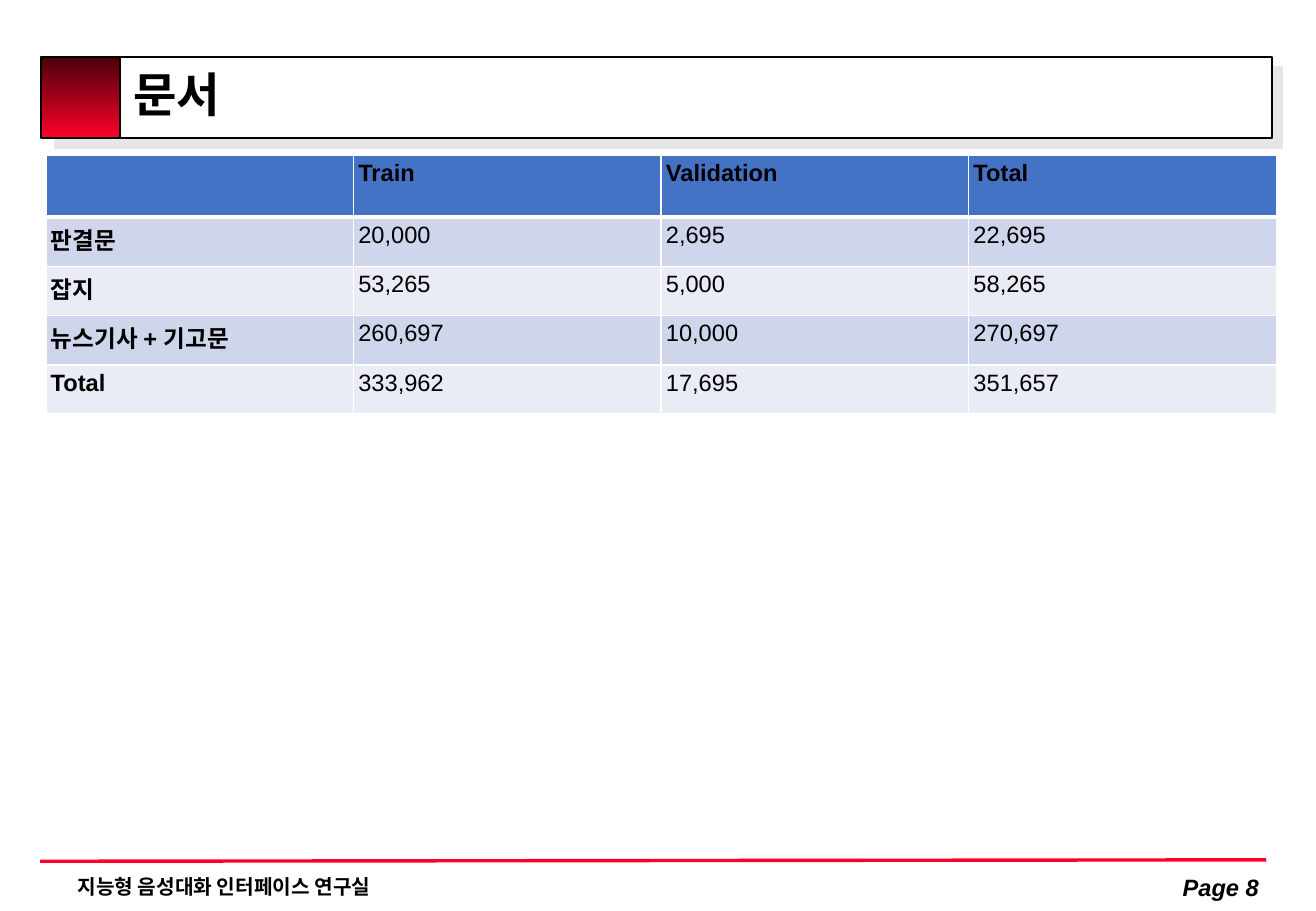
from dataclasses import dataclass

from lxml import etree
from pptx import Presentation
from pptx.dml.color import RGBColor
from pptx.enum.shapes import MSO_CONNECTOR, MSO_SHAPE
from pptx.enum.text import MSO_ANCHOR, PP_ALIGN
from pptx.oxml import parse_xml
from pptx.oxml.ns import nsdecls, qn
from pptx.util import Cm, Pt


@dataclass(frozen=True)
class Theme:
    """Colours, fonts and type sizes of the slide."""
    ink: str = "000000"
    paper: str = "FFFFFF"
    red: str = "FC0128"
    dark_red: str = "4B000C"
    shadow: str = "E7E6E6"
    header: str = "4472C4"
    bands: tuple = ("CFD5EA", "E9EBF5")
    body_font: str = "Arial"
    title_font: str = "Times New Roman"
    title_size: int = 28
    body_size: int = 14
    footer_size: int = 12


THEME = Theme()
HEADINGS = ("", "Train", "Validation", "Total")
DOCUMENT_COUNTS = (
    ("판결문", "20,000", "2,695", "22,695"),
    ("잡지", "53,265", "5,000", "58,265"),
    ("뉴스기사 + 기고문", "260,697", "10,000", "270,697"),
    ("Total", "333,962", "17,695", "351,657"),
)


def rgb(value):
    """Turn a hex string into a colour."""
    return RGBColor.from_string(value)


def add_shadow(properties, distance):
    """Append a hard diagonal shadow to shape or run properties."""
    effects = parse_xml(
        f'<a:effectLst {nsdecls("a")}><a:outerShdw dist="{Pt(distance)}" dir="2700000" '
        f'algn="ctr" rotWithShape="0"><a:srgbClr val="{THEME.shadow}"/>'
        '</a:outerShdw></a:effectLst>')
    fill = properties.find(qn("a:solidFill"))
    if fill is not None and properties.tag == qn("a:rPr"):
        fill.addnext(effects)
    else:
        properties.append(effects)


def add_run(paragraph, text, size, font=THEME.body_font, bold=True, italic=False):
    """Write a styled run and return it."""
    run = paragraph.add_run()
    run.text = text
    run.font.size = Pt(size)
    run.font.name = font
    run.font.bold = bold
    run.font.italic = italic
    run.font.color.rgb = rgb(THEME.ink)
    return run


def add_text(slide, box, text, size, align=PP_ALIGN.LEFT, wrap=True, **style):
    """Add a one-paragraph text box; return its paragraph and run."""
    frame = slide.shapes.add_textbox(*map(Cm, box)).text_frame
    frame.word_wrap = wrap
    frame.vertical_anchor = MSO_ANCHOR.MIDDLE
    paragraph = frame.paragraphs[0]
    paragraph.alignment = align
    return paragraph, add_run(paragraph, text, size, **style)


def add_box(slide, box):
    """Add a black-outlined white rectangle."""
    shape = slide.shapes.add_shape(MSO_SHAPE.RECTANGLE, *map(Cm, box))
    shape.fill.solid()
    shape.fill.fore_color.rgb = rgb(THEME.paper)
    shape.line.color.rgb = rgb(THEME.ink)
    shape.line.width = Pt(1)
    shape.shadow.inherit = False
    return shape


def add_title(slide, text):
    """Add the title bar with its red gradient block and heading."""
    bar = add_box(slide, (0.94, 1.19, 25.65, 1.7))
    properties = bar._element.spPr
    properties.remove(properties.find(qn("a:effectLst")))
    add_shadow(properties, 8.5)

    block = add_box(slide, (0.86, 1.19, 1.65, 1.7))
    block.fill.gradient()
    block.fill.gradient_angle = 270
    for stop, colour, position in zip(block.fill.gradient_stops,
                                      (THEME.dark_red, THEME.red), (0, 1)):
        stop.color.rgb = rgb(colour)
        stop.position = position

    paragraph, run = add_text(slide, (2.54, 1.12, 24.13, 1.9), text,
                              THEME.title_size, font=THEME.title_font)
    paragraph.line_spacing = 0.8
    add_shadow(run.font._element, 2)


def set_borders(cell, bottom):
    """Draw white cell borders, with the given bottom width."""
    properties = cell._tc.get_or_add_tcPr()
    widths = {"lnL": 1, "lnR": 1, "lnT": 1, "lnB": bottom}
    for index, (side, width) in enumerate(widths.items()):
        line = etree.Element(qn(f"a:{side}"), w=str(Pt(width)))
        fill = etree.SubElement(line, qn("a:solidFill"))
        etree.SubElement(fill, qn("a:srgbClr"), val=THEME.paper)
        properties.insert(index, line)


def add_count_table(slide):
    """Add the table of document counts."""
    rows = (HEADINGS,) + DOCUMENT_COUNTS
    header_height, row_height, column_width = Cm(1.3), Cm(1.03), Cm(6.43)
    table = slide.shapes.add_table(
        len(rows), len(HEADINGS), Cm(0.96), Cm(3.24),
        column_width * len(HEADINGS),
        header_height + row_height * len(DOCUMENT_COUNTS)).table
    for column in table.columns:
        column.width = column_width
    for r, values in enumerate(rows):
        is_header = r == 0
        table.rows[r].height = header_height if is_header else row_height
        colour = THEME.header if is_header else THEME.bands[(r - 1) % 2]
        for c, value in enumerate(values):
            cell = table.cell(r, c)
            cell.margin_left = cell.margin_right = Cm(0.1)
            cell.margin_top = cell.margin_bottom = Cm(0.1)
            cell.fill.solid()
            cell.fill.fore_color.rgb = rgb(colour)
            # The header is ruled off more heavily than the body rows.
            set_borders(cell, 3 if is_header else 1)
            if value:
                add_run(cell.text_frame.paragraphs[0], value, THEME.body_size,
                        bold=is_header or c == 0)


def add_footer(slide, lab, page):
    """Add the red rule, the laboratory name and the page number."""
    rule = slide.shapes.add_connector(MSO_CONNECTOR.STRAIGHT, Cm(0.84), Cm(18.01),
                                      Cm(26.47), Cm(17.98))
    rule.line.color.rgb = rgb(THEME.red)
    rule.line.width = Pt(2)
    etree.SubElement(rule._element.spPr, qn("a:effectLst"))
    add_text(slide, (1.37, 18.16, 18.39, 0.76), lab, THEME.footer_size)
    add_text(slide, (23.6, 18.14, 2.97, 0.84), page, THEME.body_size,
             align=PP_ALIGN.RIGHT, wrap=False, italic=True)


def main():
    """Build and save the slide."""
    deck = Presentation()
    deck.slide_width, deck.slide_height = Cm(27.51), Cm(19.05)
    slide = deck.slides.add_slide(deck.slide_layouts[6])
    add_title(slide, "문서")
    add_count_table(slide)
    add_footer(slide, "지능형 음성대화 인터페이스 연구실", "Page 8")
    deck.save("out.pptx")


main()
